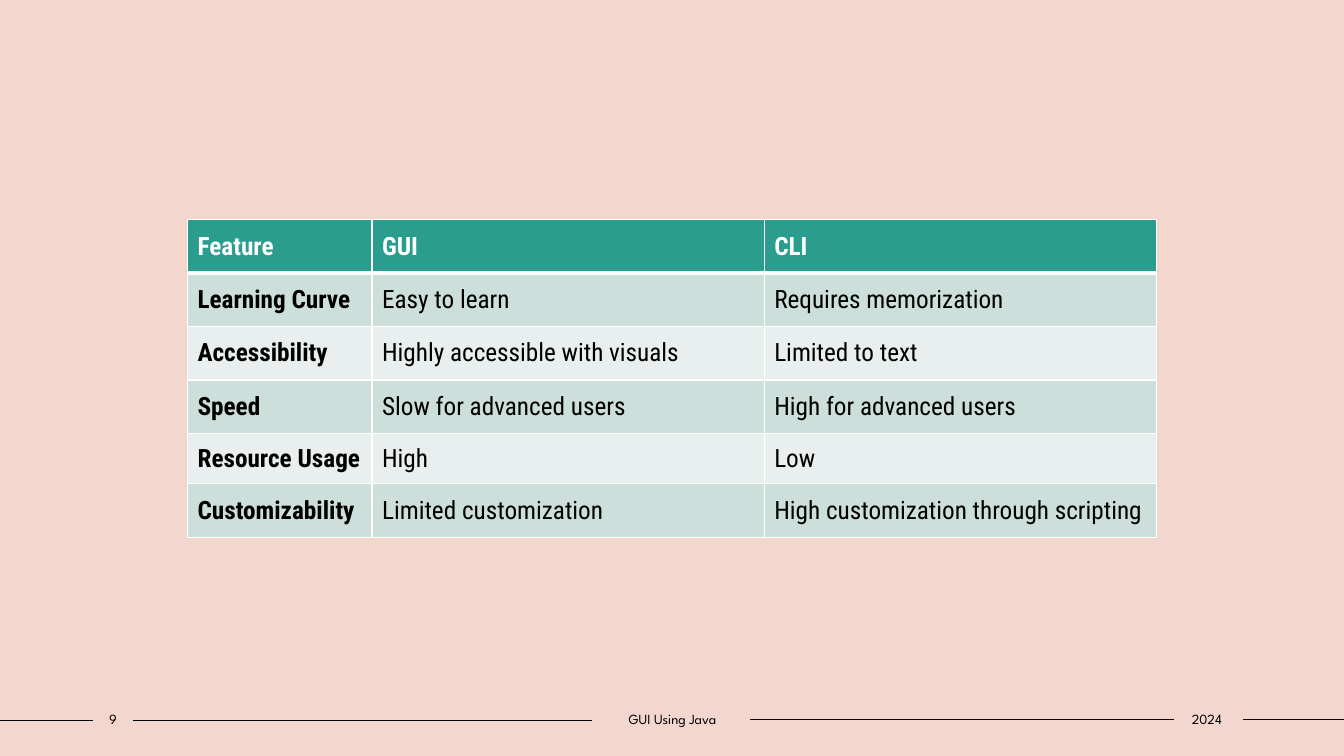
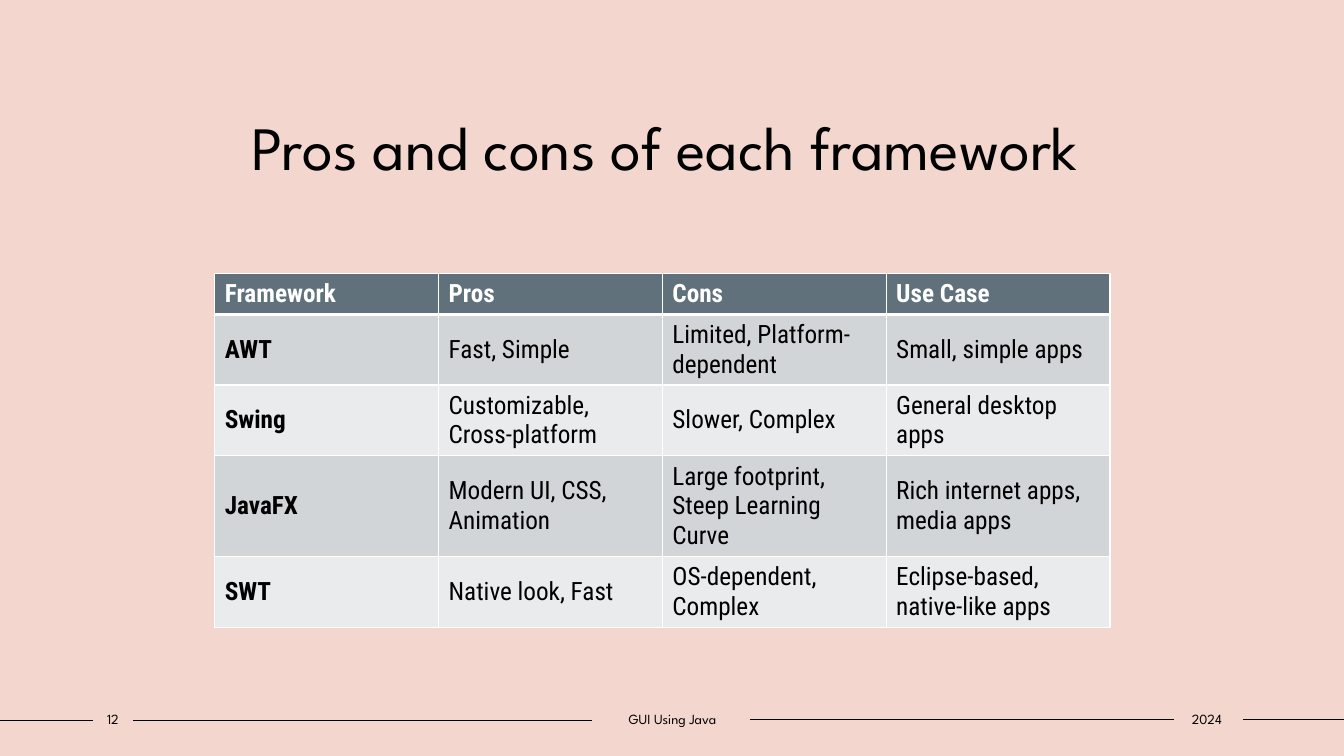
from dataclasses import dataclass

from lxml.etree import SubElement
from pptx import Presentation
from pptx.dml.color import RGBColor as Color
from pptx.enum.shapes import MSO_CONNECTOR as Connector
from pptx.enum.text import MSO_ANCHOR as Anchor, PP_ALIGN as Align
from pptx.oxml.ns import qn
from pptx.util import Pt

EMU_PER_PX = 9144


def px(length):
    """Turn px, a hundred to the inch, into EMU."""
    return round(length * EMU_PER_PX)


def apply(target, values):
    """Set each attribute named in a dict of format values."""
    for name, value in values.items():
        setattr(target, name, value)


@dataclass(frozen=True)
class Palette:
    """Fills of one table: header row, odd rows and even rows."""

    header: str
    odd: str
    even: str


@dataclass(frozen=True)
class Theme:
    """Colours, fonts and type sizes of the deck."""

    background: str = "F3D6CD"
    ink: str = "000000"
    paper: str = "FFFFFF"
    teal: Palette = Palette("2A9D8F", "CDDFDB", "E8EFEE")
    slate: Palette = Palette("60717C", "D2D5D7", "EAEBEC")
    display_font: str = "League Spartan"
    body_font: str = "Roboto Condensed"
    title_size: int = 44
    table_size: int = 18
    footer_size: int = 10
    thin: int = 1
    thick: int = 3


THEME = Theme()
FOOTER_LINES = [(0, 92, 715), (132, 587, 715), (744, 1164, 714), (1233, 1333, 714)]


class Slides:
    """Holds the theme, the deck and the current page."""

    def __init__(self, theme):
        """Start an empty widescreen deck."""
        self.theme = theme
        self.deck = Presentation()
        apply(self.deck, {"slide_width": px(1333), "slide_height": px(750)})
        self.page = None

    def add_page(self, number):
        """Add a page with its background and footer."""
        self.page = self.deck.slides.add_slide(self.deck.slide_layouts[6])
        fill = self.page.background.fill
        fill.solid()
        fill.fore_color.rgb = Color.from_string(self.theme.background)
        for start, end, top in FOOTER_LINES:
            self.add_line(start, end, top)
        for left, width, text in [(92, 40, str(number)), (587, 160, "GUI Using Java"), (1162, 70, "2024")]:
            self.add_text(text, (left, 700, width, 27), self.theme.footer_size,
                          {"vertical_anchor": Anchor.MIDDLE, "margin_left": 0, "margin_right": 0})

    def add_line(self, start, end, top):
        """Draw a horizontal rule."""
        line = self.page.shapes.add_connector(Connector.STRAIGHT, px(start), px(top), px(end), px(top))
        line.line.width = Pt(self.theme.thin)
        line.line.color.rgb = Color.from_string(self.theme.ink)
        SubElement(line._element.spPr, qn("a:effectLst"))

    def add_text(self, text, place, size, frame_format):
        """Add a centred text box in the display font."""
        box = self.page.shapes.add_textbox(*map(px, place))
        apply(box.text_frame, {"word_wrap": True, **frame_format})
        para = box.text_frame.paragraphs[0]
        para.alignment = Align.CENTER
        self.add_span(para, text, self.theme.ink, {"name": self.theme.display_font, "size": Pt(size)})

    def add_title(self, text):
        """Add the page title."""
        self.add_text(text, (55, 103, 1209, 111), self.theme.title_size, {"vertical_anchor": Anchor.TOP})

    def add_span(self, para, text, color, font_format):
        """Add a formatted run of text."""
        span = para.add_run()
        span.text = text
        apply(span.font, font_format)
        span.font.color.rgb = Color.from_string(color)

    def add_table(self, left, top, widths, heights, palette, rows):
        """Add a banded table with a header row and a bold first column."""
        frame = self.page.shapes.add_table(len(rows), len(widths), px(left), px(top),
                                           px(sum(widths)), px(sum(heights)))
        table = frame.table
        table.horz_banding = False
        for column, width in zip(table.columns, widths):
            column.width = px(width)
        for row, height in zip(table.rows, heights):
            row.height = px(height)
        for row_index, texts in enumerate(rows):
            for column_index, text in enumerate(texts):
                self.fill_cell(table.cell(row_index, column_index), text, palette, row_index, column_index)

    def fill_cell(self, cell, text, palette, row, column):
        """Set the borders, fill and text of one cell."""
        theme = self.theme
        self.add_borders(cell, {"L": theme.thin, "R": theme.thin,
                                "T": theme.thick if row == 1 else theme.thin,
                                "B": theme.thick if row == 0 else theme.thin})
        band = palette.odd if row % 2 else palette.even
        cell.fill.solid()
        cell.fill.fore_color.rgb = Color.from_string(band if row else palette.header)
        cell.vertical_anchor = Anchor.MIDDLE
        self.add_span(cell.text_frame.paragraphs[0], text, theme.ink if row else theme.paper,
                      {"name": theme.body_font, "size": Pt(theme.table_size), "bold": row == 0 or column == 0})

    def add_borders(self, cell, widths):
        """Draw the cell borders, each side with its width in points."""
        properties = cell._tc.get_or_add_tcPr()
        for side, width in widths.items():
            border = SubElement(properties, qn(f"a:ln{side}"), w=str(Pt(width)))
            fill = SubElement(border, qn("a:solidFill"))
            SubElement(fill, qn("a:srgbClr"), val=self.theme.paper)


def main():
    """Build both pages and save the deck."""
    slides = Slides(THEME)

    slides.add_page(9)
    slides.add_table(186, 218, [183, 389, 389], [53, 53, 53, 53, 50, 53], THEME.teal, [
        ("Feature", "GUI", "CLI"),
        ("Learning Curve", "Easy to learn", "Requires memorization"),
        ("Accessibility", "Highly accessible with visuals", "Limited to text"),
        ("Speed", "Slow for advanced users", "High for advanced users"),
        ("Resource Usage", "High", "Low"),
        ("Customizability", "Limited customization", "High customization through scripting"),
    ])

    slides.add_page(12)
    slides.add_table(213, 271, [222] * 4, [41, 68, 68, 97, 68], THEME.slate, [
        ("Framework", "Pros", "Cons", "Use Case"),
        ("AWT", "Fast, Simple", "Limited, Platform-dependent", "Small, simple apps"),
        ("Swing", "Customizable, Cross-platform", "Slower, Complex", "General desktop apps"),
        ("JavaFX", "Modern UI, CSS, Animation", "Large footprint, Steep Learning Curve",
         "Rich internet apps, media apps"),
        ("SWT", "Native look, Fast", "OS-dependent, Complex", "Eclipse-based, native-like apps"),
    ])
    slides.add_title("Pros and cons of each framework")

    slides.deck.save("out.pptx")


if __name__ == "__main__":
    main()
